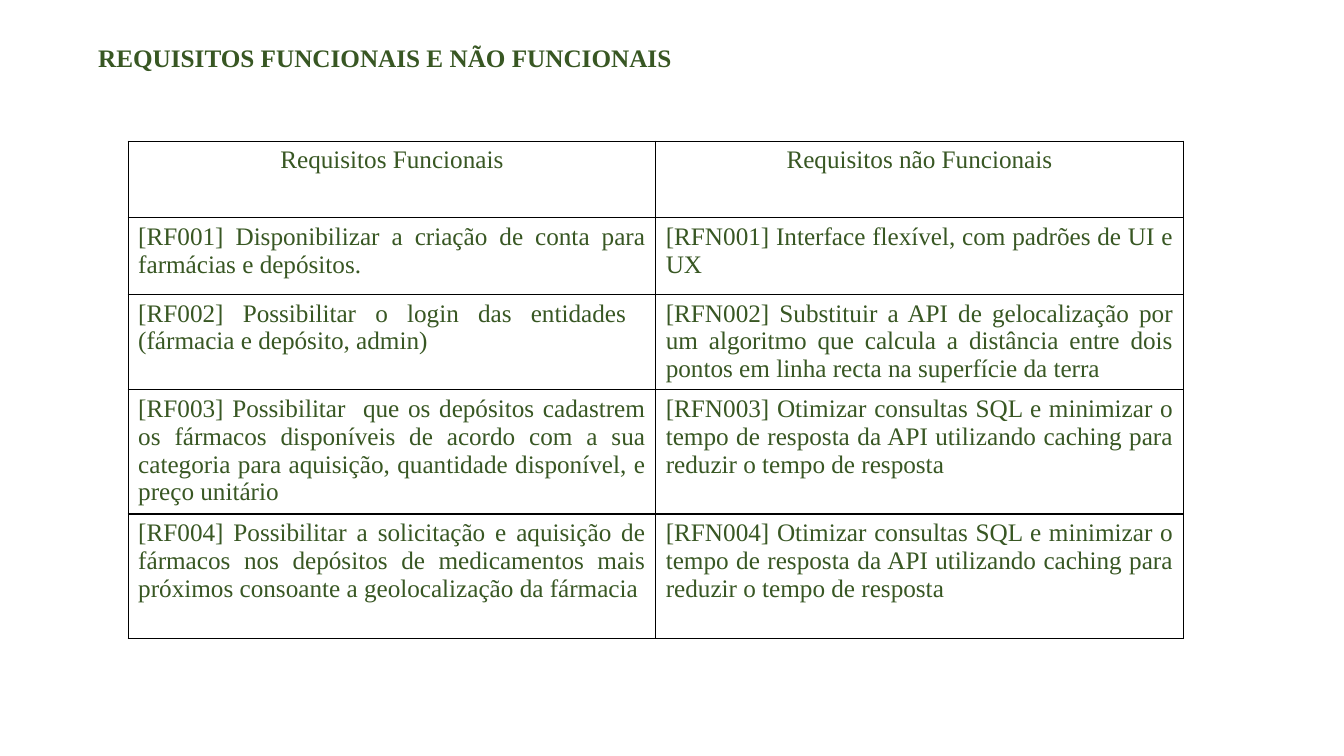
from lxml.etree import SubElement
from pptx import Presentation
from pptx.dml.color import RGBColor
from pptx.enum.text import MSO_ANCHOR, MSO_AUTO_SIZE, PP_ALIGN
from pptx.oxml.ns import qn
from pptx.util import Cm, Pt

COLORS = {"text": "385723", "border": "000000"}
FONT = "Times New Roman"
TITLE = "REQUISITOS FUNCIONAIS E NÃO FUNCIONAIS"
ROW_HEIGHTS = [1.93, 1.93, 2.4, 3.13, 3.13]
REQUIREMENTS = [
    ("Requisitos Funcionais", "Requisitos não Funcionais"),
    ("[RF001] Disponibilizar a criação de conta para farmácias e depósitos. ",
     "[RFN001] Interface flexível, com padrões de UI e UX"),
    ("[RF002] Possibilitar o login das entidades  (fármacia e depósito, admin)",
     "[RFN002] Substituir a API de gelocalização por um algoritmo que calcula "
     "a distância entre dois pontos em linha recta na superfície da terra"),
    ("[RF003] Possibilitar  que os depósitos cadastrem os fármacos disponíveis de acordo "
     "com a sua categoria para aquisição, quantidade disponível, e preço unitário",
     "[RFN003] Otimizar consultas SQL e minimizar o tempo de resposta da API "
     "utilizando caching para reduzir o tempo de resposta"),
    ("[RF004] Possibilitar a solicitação e aquisição de fármacos nos depósitos de "
     "medicamentos mais próximos consoante a geolocalização da fármacia",
     "[RFN004] Otimizar consultas SQL e minimizar o tempo de resposta da API "
     "utilizando caching para reduzir o tempo de resposta"),
]


def write(tf, text, align=PP_ALIGN.LEFT, size=18, bold=False, spacing=1.0):
    p = tf.paragraphs[0]
    p.alignment = align
    p.line_spacing = spacing
    r = p.add_run()
    r.text = text
    r.font.name = FONT
    r.font.size = Pt(size)
    r.font.bold = bold
    r.font.color.rgb = RGBColor.from_string(COLORS["text"])


def add_borders(cell, width=1):
    tcPr = cell._tc.get_or_add_tcPr()
    for side in ("lnL", "lnR", "lnT", "lnB"):
        ln = SubElement(tcPr, qn(f"a:{side}"), w=str(Pt(width)))
        fill = SubElement(ln, qn("a:solidFill"))
        SubElement(fill, qn("a:srgbClr"), val=COLORS["border"])


def place_title(s, left, top, width, height):
    sp = s.shapes.title
    sp.left, sp.top, sp.width, sp.height = left, top, width, height
    tf = sp.text_frame
    tf.word_wrap = True
    tf.auto_size = MSO_AUTO_SIZE.NONE
    tf.vertical_anchor = MSO_ANCHOR.MIDDLE
    write(tf, TITLE, bold=True, spacing=0.9)


def place_requirements(s, left, top, width, height):
    rows, cols = len(REQUIREMENTS), len(REQUIREMENTS[0])
    table = s.shapes.add_table(rows, cols, left, top, width, height).table
    table.first_row = False
    table.horz_banding = False
    for row, row_height in zip(table.rows, ROW_HEIGHTS):
        row.height = Cm(row_height)
    for i, texts in enumerate(REQUIREMENTS):
        align = PP_ALIGN.JUSTIFY if i else PP_ALIGN.CENTER
        for j, text in enumerate(texts):
            cell = table.cell(i, j)
            add_borders(cell)
            cell.fill.background()
            write(cell.text_frame, text, align=align)


def main():
    prs = Presentation()
    prs.slide_width, prs.slide_height = Cm(33.87), Cm(19.05)
    s = prs.slides.add_slide(prs.slide_layouts[5])
    place_title(s, Cm(2.22), Cm(0.74), Cm(16.69), Cm(1.52))
    place_requirements(s, Cm(3.23), Cm(3.56), Cm(26.59), Cm(sum(ROW_HEIGHTS)))
    prs.save("out.pptx")


if __name__ == "__main__":
    main()
